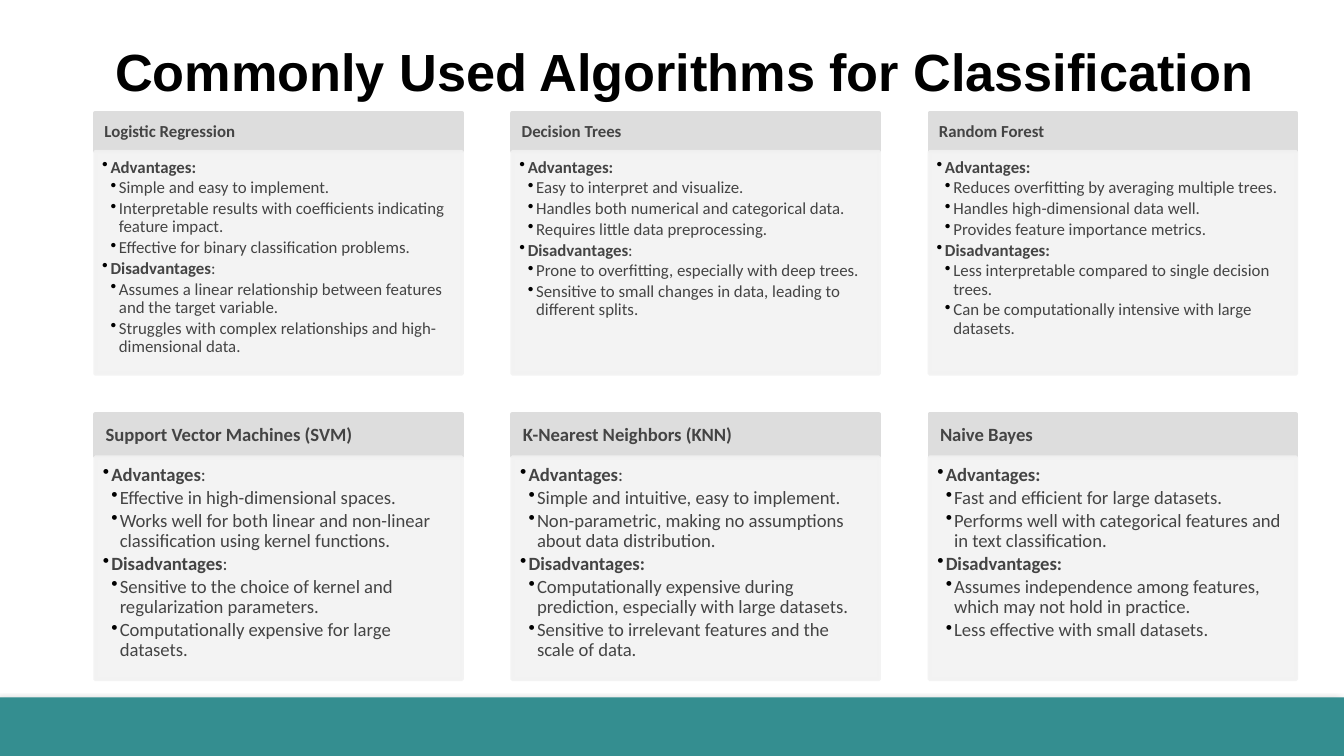
from lxml import etree
from pptx import Presentation
from pptx.dml.color import RGBColor
from pptx.enum.shapes import MSO_SHAPE
from pptx.enum.text import MSO_ANCHOR, MSO_AUTO_SIZE, PP_ALIGN
from pptx.oxml.ns import qn
from pptx.util import Pt

RECT = MSO_SHAPE.RECTANGLE
TOP, MIDDLE = MSO_ANCHOR.TOP, MSO_ANCHOR.MIDDLE
LEFT, CENTER = PP_ALIGN.LEFT, PP_ALIGN.CENTER
FIXED = MSO_AUTO_SIZE.NONE

WIDE, HIGH = 720, 405
STEP = 4.5  # indent of each list level
TITLE = "Commonly Used Algorithms for Classification"

# Cards: name, then groups of a heading and its points.
# A bar in a heading marks where the bold type stops.
CARDS = [
    ("Logistic Regression", [
        ("Advantages:", ["Simple and easy to implement.",
                         "Interpretable results with coefficients indicating feature impact.",
                         "Effective for binary classification problems."]),
        ("Disadvantages|:", ["Assumes a linear relationship between features and the target variable.",
                             "Struggles with complex relationships and high-dimensional data."])]),
    ("Decision Trees", [
        ("Advantages:", ["Easy to interpret and visualize.",
                         "Handles both numerical and categorical data.",
                         "Requires little data preprocessing."]),
        ("Disadvantages|:", ["Prone to overfitting, especially with deep trees.",
                             "Sensitive to small changes in data, leading to different splits."])]),
    ("Random Forest", [
        ("Advantages:", ["Reduces overfitting by averaging multiple trees.",
                         "Handles high-dimensional data well.",
                         "Provides feature importance metrics."]),
        ("Disadvantages:", ["Less interpretable compared to single decision trees.",
                            "Can be computationally intensive with large datasets."])]),
    ("Support Vector Machines (SVM)", [
        ("Advantages|:", ["Effective in high-dimensional spaces.",
                          "Works well for both linear and non-linear classification using kernel functions."]),
        ("Disadvantages|:", ["Sensitive to the choice of kernel and regularization parameters.",
                             "Computationally expensive for large datasets."])]),
    ("K-Nearest Neighbors (KNN)", [
        ("Advantages|:", ["Simple and intuitive, easy to implement.",
                          "Non-parametric, making no assumptions about data distribution."]),
        ("Disadvantages:", ["Computationally expensive during prediction, especially with large datasets.",
                            "Sensitive to irrelevant features and the scale of data."])]),
    ("Naive Bayes", [
        ("Advantages:", ["Fast and efficient for large datasets.",
                         "Performs well with categorical features and in text classification."]),
        ("Disadvantages:", ["Assumes independence among features, which may not hold in practice.",
                            "Less effective with small datasets."])]),
]

# Rows: top, head height, list top, text size, head and list insets
ROWS = [
    dict(top=60.5, head=20.5, list=81.3, size=9, pad=(5, 3, 5, 3), inset=(3.75, 3.75, 5, 5.6)),
    dict(top=222, head=22.5, list=245, size=10, pad=(5.6, 3.2, 5.6, 3.2), inset=(4.2, 4.2, 5.6, 6.3)),
]
COLS, COL_X, PITCH, CARD_W, LIST_H = 3, 51, 223.5, 196.5, 119


def hue(code):
    return RGBColor.from_string(code)


def apply(item, values):
    for name, value in values.items():
        setattr(item, name, value)


def add(parent, tag, **values):
    return etree.SubElement(parent, qn(tag), values)


class Deck:
    face, ink = "Calibri", "444444"

    def __init__(self):
        self.file = Presentation()
        apply(self.file, dict(slide_width=Pt(WIDE), slide_height=Pt(HIGH)))
        self.slide = self.file.slides.add_slide(self.file.slide_layouts[5])

    def title(self, text, x, y, w, h):
        box = self.slide.shapes.title
        apply(box, dict(left=Pt(x), top=Pt(y), width=Pt(w), height=Pt(h)))
        frame = box.text_frame
        apply(frame, dict(text=text, vertical_anchor=TOP, word_wrap=True, auto_size=FIXED))
        line = frame.paragraphs[0]
        line.alignment = CENTER
        apply(line.font, dict(name="Arial", size=Pt(28), bold=True))
        line.font.color.rgb = hue("000000")

    def rect(self, x, y, w, h, fill):
        box = self.slide.shapes.add_shape(RECT, Pt(x), Pt(y), Pt(w), Pt(h))
        box.shadow.inherit = False
        box.fill.solid()
        box.fill.fore_color.rgb = hue(fill)
        box.line.fill.background()
        return box

    def footer(self, y, h):
        bar = self.rect(0, y, WIDE, h, "348E90")
        effects = bar._element.spPr.find(qn("a:effectLst"))
        shadow = add(effects, "a:outerShdw", blurRad=str(Pt(4)), dist=str(Pt(3)),
                     dir="8100000", rotWithShape="0")
        add(add(shadow, "a:srgbClr", val="000000"), "a:alpha", val="40000")

    def panel(self, x, y, w, h, fill, inset, anchor):
        box = self.rect(x, y, w, h, fill)
        box.line.width = Pt(2)
        box.line.color.rgb = hue(fill)
        sides = ("margin_left", "margin_top", "margin_right", "margin_bottom")
        apply(box.text_frame, dict(zip(sides, map(Pt, inset))))
        apply(box.text_frame, dict(vertical_anchor=anchor, word_wrap=True))
        return box

    def label(self, line, text, size, bold, after):
        apply(line, dict(alignment=LEFT, line_spacing=0.9, space_after=Pt(after)))
        for part, words in enumerate(text.split("|")):
            run = line.add_run()
            run.text = words
            apply(run.font, dict(name=self.face, size=Pt(size), bold=bold and part == 0))
            run.font.color.rgb = hue(self.ink)

    def head(self, x, row, name):
        box = self.panel(x, row["top"], CARD_W, row["head"], "DDDDDD", row["pad"], MIDDLE)
        self.label(box.text_frame.paragraphs[0], name, row["size"], True, 0)

    def points(self, x, row, groups):
        box = self.panel(x, row["list"], CARD_W, LIST_H, "F2F2F2", row["inset"], TOP)
        for color in box._element.spPr.iter(qn("a:srgbClr")):
            add(color, "a:alpha", val="90000")
        frame = box.text_frame
        lines = [pair for title, items in groups
                 for pair in [(1, title)] + [(2, item) for item in items]]
        for spot, (level, text) in enumerate(lines):
            line = frame.add_paragraph() if spot else frame.paragraphs[0]
            line.level = level
            props = line._p.get_or_add_pPr()
            props.set("marL", str(Pt(STEP * level)))
            props.set("indent", str(Pt(-STEP)))
            add(add(props, "a:buClr"), "a:srgbClr", val="000000")
            add(props, "a:buChar", char="•")
            self.label(line, text, row["size"], level == 1, 0.15 * row["size"])


def main():
    deck = Deck()
    # Footer band and title
    deck.footer(373.7, 31.3)
    deck.title(TITLE, 25, 17.3, 683, 75)
    # Grid of cards
    for spot, (name, groups) in enumerate(CARDS):
        row = ROWS[spot // COLS]
        x = COL_X + spot % COLS * PITCH
        deck.head(x, row, name)
        deck.points(x, row, groups)
    deck.file.save("out.pptx")


if __name__ == "__main__":
    main()
